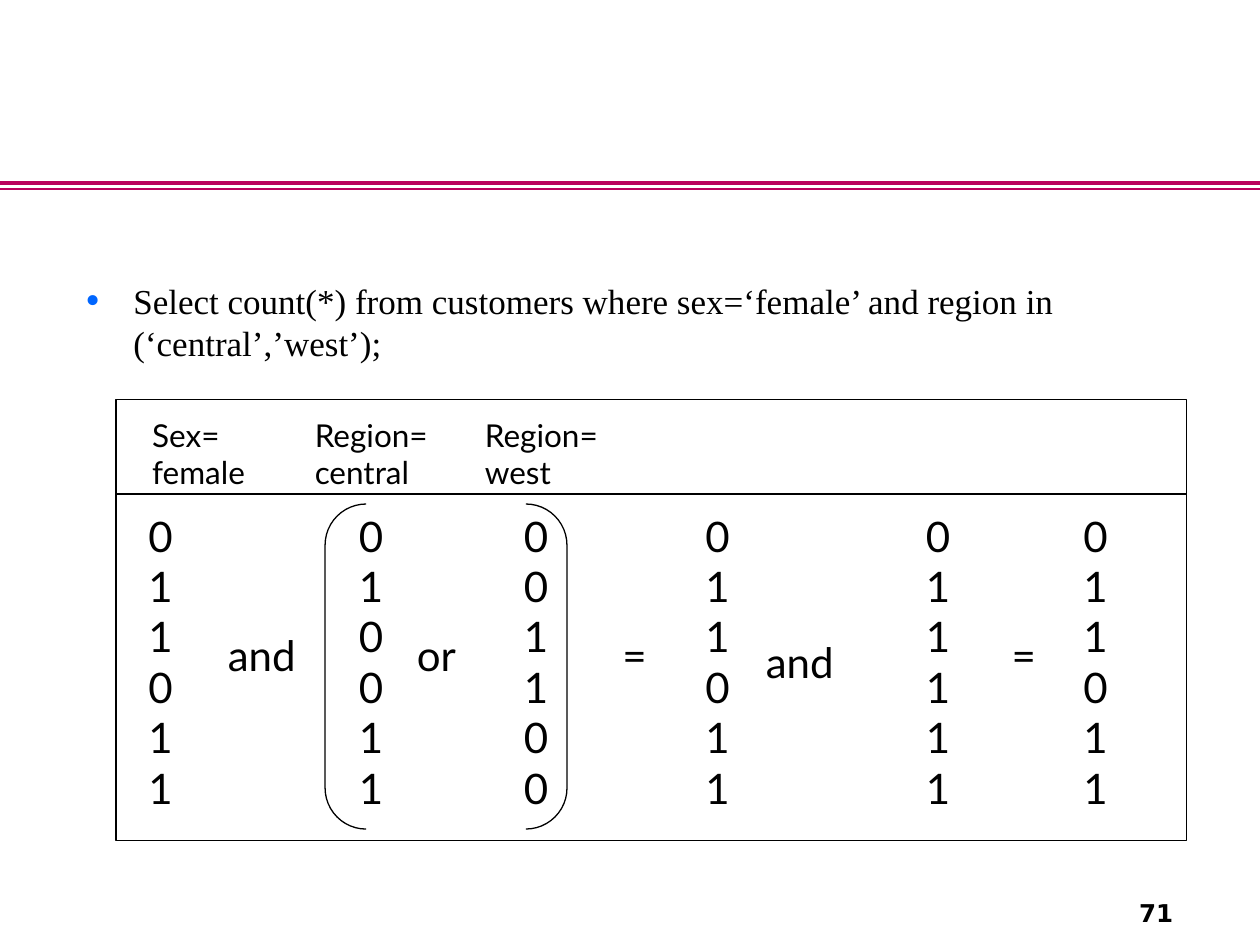
from lxml import etree
from pptx import Presentation
from pptx import util as u
from pptx.dml.color import RGBColor
from pptx.enum import shapes, text
from pptx.oxml.ns import qn

BLACK = RGBColor(0x00, 0x00, 0x00)
CRIMSON = RGBColor(0xBA, 0x00, 0x5D)
BULLET_BLUE = RGBColor(0x00, 0x66, 0xFF)

presentation = Presentation()
presentation.slide_width = u.Inches(10)
presentation.slide_height = u.Inches(7.5)
slide = presentation.slides.add_slide(presentation.slide_layouts[6])


def add_text(lines, left, top, width, height, size, font="Lato", wrap=False):
    box = slide.shapes.add_textbox(
        u.Inches(left), u.Inches(top), u.Inches(width), u.Inches(height))
    frame = box.text_frame
    frame.word_wrap = wrap
    for index, line in enumerate(lines):
        paragraph = frame.add_paragraph() if index else frame.paragraphs[0]
        run = paragraph.add_run()
        run.text = line
        run.font.size = u.Pt(size)
        run.font.name = font
        run.font.color.rgb = BLACK
    return frame


def add_rule(left, right, top, color, weight):
    rule = slide.shapes.add_connector(
        shapes.MSO_CONNECTOR.STRAIGHT,
        u.Inches(left), u.Inches(top), u.Inches(right), u.Inches(top))
    rule.line.color.rgb = color
    rule.line.width = u.Pt(weight)
    etree.SubElement(rule._element.spPr, qn("a:effectLst"))


add_rule(0, 10, 1.45, CRIMSON, 2.25)
add_rule(0, 10, 1.5, CRIMSON, 1)

number = add_text(["71"], 8.83, 7.08, 0.58, 0.33, 14, "DejaVu Sans")
number.vertical_anchor = text.MSO_ANCHOR.MIDDLE
number.paragraphs[0].alignment = text.PP_ALIGN.RIGHT
number.paragraphs[0].runs[0].font.bold = True

query = add_text(
    ["Select count(*) from customers where sex=‘female’ and region in (‘central’,’west’);"],
    0.58, 2.17, 9.21, 4.54, 20, "Times New Roman", wrap=True)
paragraph = query.paragraphs[0]
paragraph.space_before = u.Pt(5)
properties = paragraph._p.get_or_add_pPr()
properties.set("marL", str(u.Inches(0.38)))
properties.set("indent", str(u.Inches(-0.38)))
bullet_color = etree.SubElement(properties, qn("a:buClr"))
etree.SubElement(bullet_color, qn("a:srgbClr"), val=str(BULLET_BLUE))
etree.SubElement(properties, qn("a:buSzPct"), val="120000")
etree.SubElement(properties, qn("a:buFont"), typeface="Times New Roman")
etree.SubElement(properties, qn("a:buChar"), char="•")

for kind, left, top, width, height in [
    (shapes.MSO_SHAPE.RECTANGLE, 0.92, 3.17, 8.5, 3.5),
    (shapes.MSO_SHAPE.DOUBLE_BRACKET, 2.58, 4, 1.92, 2.58),
]:
    shape = slide.shapes.add_shape(
        kind, u.Inches(left), u.Inches(top), u.Inches(width), u.Inches(height))
    shape.shadow.inherit = False
    shape.fill.background()
    shape.line.color.rgb = BLACK
    shape.line.width = u.Pt(0.75)
    if kind == shapes.MSO_SHAPE.DOUBLE_BRACKET:
        shape.adjustments[0] = 0.17

add_rule(0.92, 9.42, 3.92, BLACK, 0.75)

for field, value, left, width, wrap in [
    ("Sex=", "female", 1.11, 1, False),
    ("Region=", "central", 2.4, 1.16, False),
    ("Region=", "west", 3.75, 1.77, True),
]:
    frame = add_text([field, value], left, 3.25, width, 0.7, 18, wrap=wrap)
    frame.auto_size = text.MSO_AUTO_SIZE.SHAPE_TO_FIT_TEXT

for bits, left in [
    ("011011", 1.08), ("010011", 2.75), ("001100", 4.06),
    ("011011", 5.5), ("011111", 7.25), ("011011", 8.5),
]:
    frame = add_text(bits, left, 4, 0.39, 2.5, 24)
    frame.auto_size = text.MSO_AUTO_SIZE.SHAPE_TO_FIT_TEXT

for operator, left, top, width in [
    ("and", 1.71, 4.95, 0.8), ("or", 3.21, 4.95, 0.54), ("=", 4.84, 4.95, 0.39),
    ("and", 5.98, 5, 0.8), ("=", 7.93, 4.95, 0.39),
]:
    frame = add_text([operator], left, top, width, 0.5, 24)
    frame.auto_size = text.MSO_AUTO_SIZE.SHAPE_TO_FIT_TEXT

presentation.save("out.pptx")
